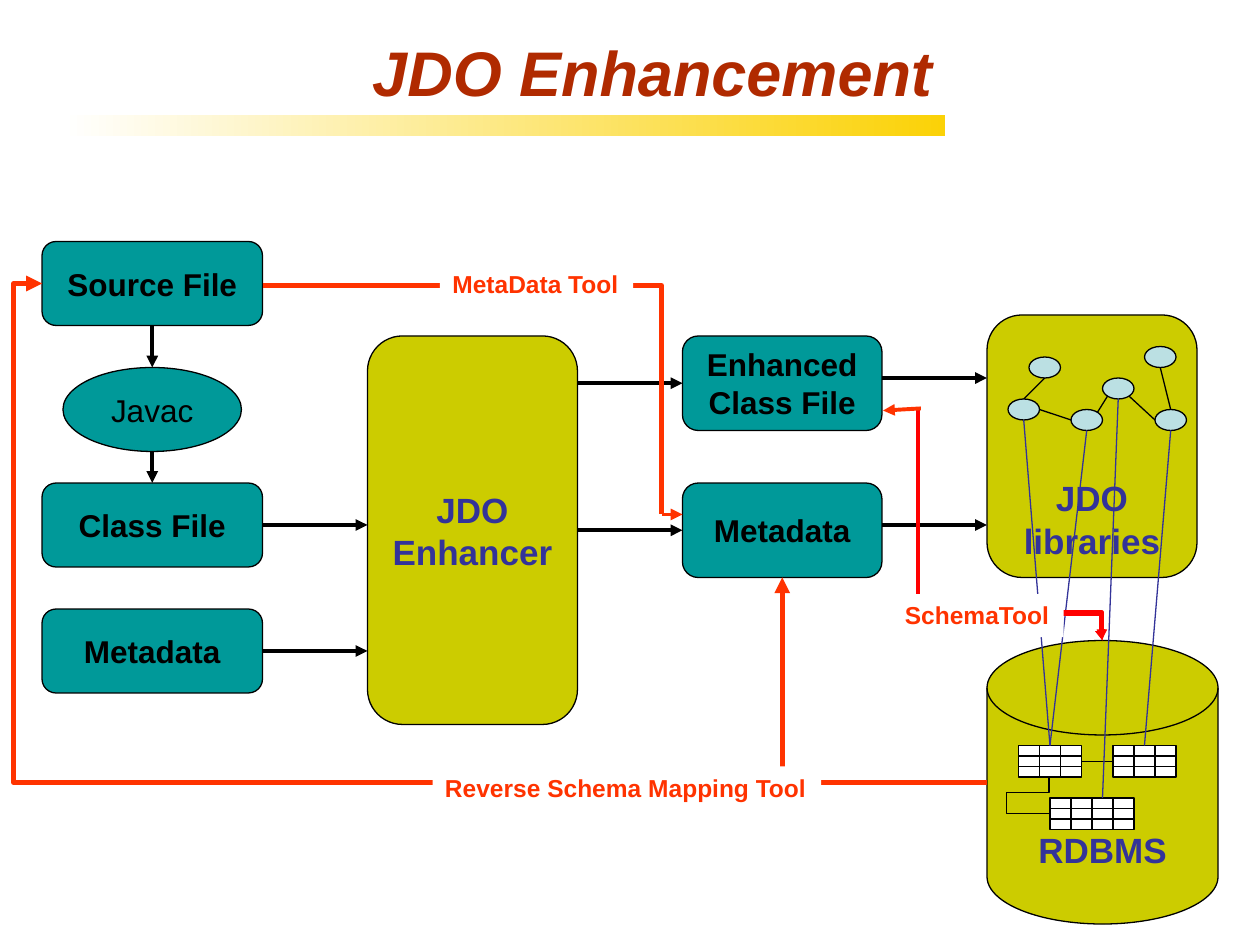
from dataclasses import dataclass
from itertools import product

from lxml.etree import SubElement
from pptx import Presentation
from pptx.dml.color import RGBColor
from pptx.enum.shapes import MSO_CONNECTOR as Link, MSO_SHAPE as Shape
from pptx.enum.text import MSO_ANCHOR as Anchor, PP_ALIGN as Align
from pptx.oxml.ns import qn
from pptx.util import Emu, Pt

PX = 7620  # 120 px to the inch
COLORS = {"title": "B02A00", "gold": "FBD207", "white": "FFFFFF", "black": "000000",
          "olive": "CCCC00", "teal": "009999", "navy": "333399", "node": "BBE0E3",
          "orange": "FF3300", "red": "FF0000"}
FONTS = {
    "title": {"name": "Arial", "size": Pt(36), "bold": True, "italic": True},
    "system": {"name": "Arial", "size": Pt(20), "bold": True},
    "file": {"name": "Arial", "size": Pt(18), "bold": True},
    "step": {"name": "Arial", "size": Pt(18), "bold": False},
    "tool": {"name": "Arial", "size": Pt(14), "bold": True},
}


@dataclass
class Box:
    text: str
    x: int
    y: int
    w: int
    h: int
    fill: str = "teal"
    font: str = "file"
    ink: str = "black"
    kind: Shape = Shape.FLOWCHART_ALTERNATE_PROCESS
    anchor: Anchor = Anchor.MIDDLE


@dataclass
class Line:
    x1: int
    y1: int
    x2: int
    y2: int
    color: str = "black"
    width: float = 2.25
    head: bool = False
    tail: bool = True


@dataclass
class Elbow:
    x: int
    y: int
    w: int
    h: int
    bends: int
    turn: int = 0
    flip: bool = False
    adjust: tuple[float, ...] = ()
    color: str = "orange"
    width: float = 3
    tail: bool = True


def rgb(name: str) -> RGBColor:
    return RGBColor.from_string(COLORS[name])


def px(*lengths: int) -> list[Emu]:
    return [Emu(n * PX) for n in lengths]


def write(frame, text: str, font: str, ink: str, align: Align, anchor: Anchor) -> None:
    frame.text = text
    frame.vertical_anchor = anchor
    paragraph = frame.paragraphs[0]
    paragraph.alignment = align
    for key, value in FONTS[font].items():
        setattr(paragraph.runs[0].font, key, value)
    paragraph.runs[0].font.color.rgb = rgb(ink)


def draw_box(box: Box):
    shape = slide.shapes.add_shape(box.kind, *px(box.x, box.y, box.w, box.h))
    shape.shadow.inherit = False
    shape.fill.solid()
    shape.fill.fore_color.rgb = rgb(box.fill)
    shape.line.color.rgb = rgb("black")
    shape.line.width = Pt(0.75)
    if box.text:
        shape.text_frame.word_wrap = True
        write(shape.text_frame, box.text, box.font, box.ink, Align.CENTER, box.anchor)
    return shape


def style_link(link, color: str, width: float, head: bool, tail: bool) -> None:
    link.line.color.rgb = rgb(color)
    link.line.width = Pt(width)
    ln = link.line._get_or_add_ln()
    for tag, shown in (("a:headEnd", head), ("a:tailEnd", tail)):
        if shown:
            SubElement(ln, qn(tag)).set("type", "triangle")
    SubElement(link._element.spPr, qn("a:effectLst"))


def draw_line(line: Line, sides: dict) -> None:
    start, end = (line.x1, line.y1), (line.x2, line.y2)
    link = slide.shapes.add_connector(Link.STRAIGHT, *px(*start, *end))
    if start in sides:
        link.begin_connect(*sides[start])
    if end in sides:
        link.end_connect(*sides[end])
    style_link(link, line.color, line.width, line.head, line.tail)


def draw_elbow(elbow: Elbow) -> None:
    x, y, w, h = elbow.x, elbow.y, elbow.w, elbow.h
    link = slide.shapes.add_connector(Link.ELBOW, *px(x, y, x + w, y + h))
    xfrm = link._element.spPr.find(qn("a:xfrm"))
    if elbow.turn:
        xfrm.set("rot", str(elbow.turn * 60000))
    if elbow.flip:
        xfrm.set("flipH", "1")
    geometry = link._element.spPr.find(qn("a:prstGeom"))
    geometry.set("prst", f"bentConnector{elbow.bends}")
    guides = geometry.find(qn("a:avLst"))
    for number, share in enumerate(elbow.adjust, 1):
        guide = SubElement(guides, qn("a:gd"))
        guide.set("name", f"adj{number}")
        guide.set("fmla", f"val {round(share * 100000)}")
    style_link(link, elbow.color, elbow.width, False, elbow.tail)


def draw_label(text: str, x: int, y: int, w: int) -> None:
    label = slide.shapes.add_textbox(*px(x, y, w, 41))
    label.fill.solid()
    label.fill.fore_color.rgb = rgb("white")
    label.text_frame.word_wrap = False
    write(label.text_frame, text, "tool", "orange", Align.LEFT, Anchor.TOP)


deck = Presentation()
deck.slide_width, deck.slide_height = px(1200, 900)
slide = deck.slides.add_slide(deck.slide_layouts[5])

# Title and its gold bar
bar = slide.shapes.add_shape(Shape.RECTANGLE, *px(60, 110, 840, 20))
bar.shadow.inherit = False
bar.line.fill.background()
bar.fill.gradient()
bar.fill.gradient_angle = 180
for stop, shade in zip(bar.fill.gradient_stops, ("gold", "white")):
    stop.color.rgb = rgb(shade)
title = slide.shapes.title
title.left, title.top, title.width, title.height = px(60, 36, 840, 64)
write(title.text_frame, "JDO Enhancement", "title", "title", Align.RIGHT, Anchor.MIDDLE)

# Files, tools and stores
system = {"fill": "olive", "font": "system", "ink": "navy"}
boxes = [
    Box("JDO Enhancer", 350, 320, 200, 370, **system),
    Box("Source File", 40, 230, 210, 80),
    Box("Class File", 40, 460, 210, 80),
    Box("Metadata", 40, 580, 210, 80),
    Box("Enhanced Class File", 650, 320, 190, 90),
    Box("Metadata", 650, 460, 190, 90),
    Box("JDO libraries", 940, 300, 200, 250, anchor=Anchor.BOTTOM, **system),
]
side_points = {}
for box in boxes:
    part = draw_box(box)
    mid_x, mid_y = box.x + box.w // 2, box.y + box.h // 2
    points = ((mid_x, box.y), (box.x, mid_y), (mid_x, box.y + box.h), (box.x + box.w, mid_y))
    side_points.update({point: (part, site) for site, point in enumerate(points)})
draw_box(Box("Javac", 60, 350, 170, 80, font="step", kind=Shape.OVAL))
draw_box(Box("RDBMS", 940, 610, 220, 270, kind=Shape.FLOWCHART_MAGNETIC_DISK,
             anchor=Anchor.BOTTOM, **system))

# Database tables as small grids, and their relations
for left, top, columns in ((970, 710, 3), (1060, 710, 3), (1000, 760, 4)):
    for row, column in product(range(3), range(columns)):
        draw_box(Box("", left + 20 * column, top + 10 * row, 20, 10, "white",
                     kind=Shape.RECTANGLE))
draw_elbow(Elbow(982, 757, 35, 1, 4, 270, True, (0.43, -41), "black", 0.75, False))
draw_line(Line(1030, 725, 1060, 725, width=0.75, tail=False), side_points)

# Process flow
for ends in ((250, 500, 350, 500), (250, 620, 350, 620), (550, 365, 650, 365),
             (550, 505, 650, 505), (840, 360, 940, 360), (840, 500, 940, 500),
             (145, 310, 145, 350), (145, 430, 145, 460)):
    draw_line(Line(*ends), side_points)

# Object graph in the libraries, mapped to the tables
for x, y in ((980, 340), (960, 380), (1020, 390), (1050, 360), (1100, 390), (1090, 330)):
    draw_box(Box("", x, y, 30, 20, "node", kind=Shape.OVAL))
references = ((975, 380, 995, 360), (1020, 400, 990, 390), (1115, 390, 1105, 350),
              (1055, 377, 1045, 393), (1075, 377, 1100, 400))
mappings = ((975, 400, 1000, 710), (1035, 410, 1000, 710),
            (1065, 380, 1050, 760), (1115, 410, 1090, 710))
for color, group in (("black", references), ("navy", mappings)):
    for ends in group:
        draw_line(Line(*ends, color, 0.75, tail=False), side_points)

# Tool paths and labels
for elbow in (
    Elbow(250, 272, 380, 218, 2, tail=False),
    Elbow(745, 550, 195, 195, 2, 180),
    Elbow(40, 270, 900, 475, 3, 180, adjust=(1.03,)),
    Elbow(914, 474, 97, 175, 4, 270, True, (0.74, 0.99), "red", 2),
    Elbow(852, 412, 220, 175, 3, 270, True, (0.88,), "red", 2),
):
    draw_elbow(elbow)
draw_label("MetaData Tool", 419, 250, 184)
draw_label("Reverse Schema Mapping Tool", 412, 730, 370)
draw_label("SchemaTool", 850, 566, 163)
draw_line(Line(630, 490, 650, 490, "orange"), side_points)
draw_line(Line(841, 391, 877, 389, "orange", head=True, tail=False), side_points)

deck.save("out.pptx")
